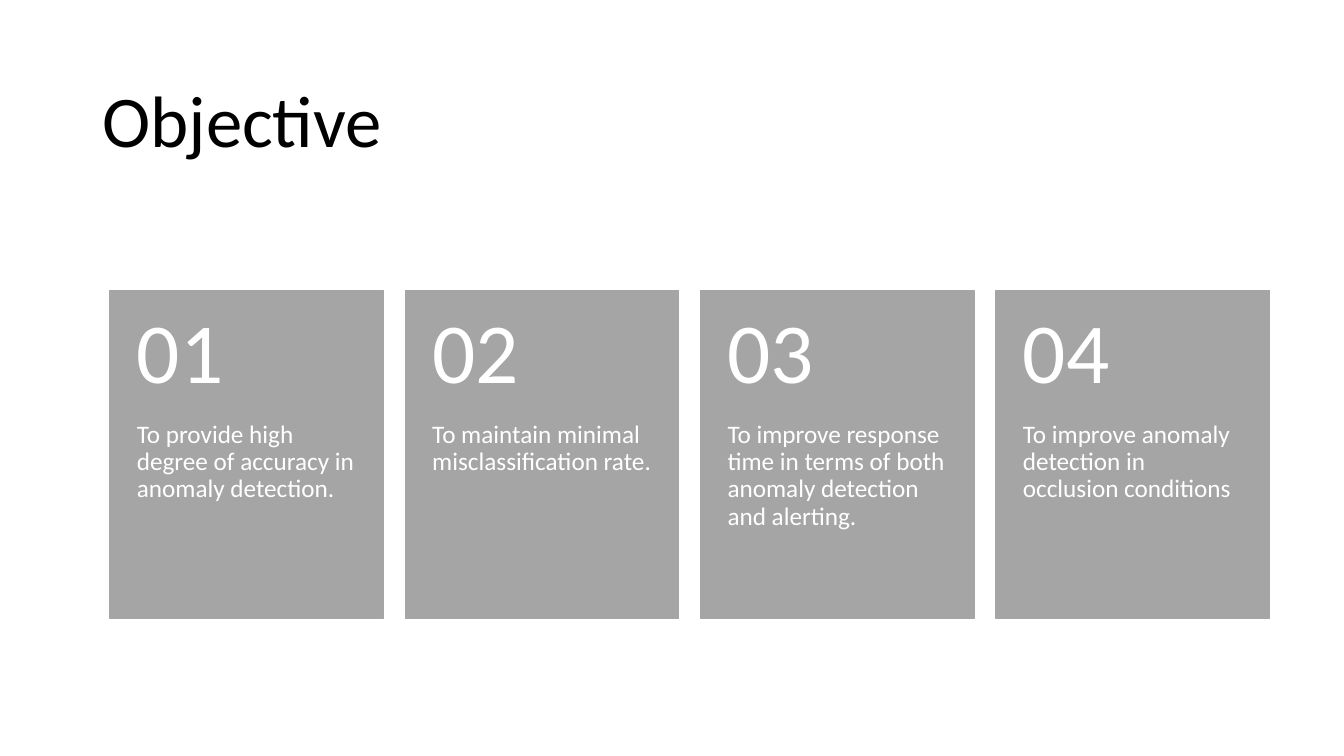
"""Builds the Objective slide with four numbered cards."""
from pptx import Presentation
from pptx import util as u
from pptx.dml import color
from pptx.enum import shapes, text

OBJECTIVES = [
    "To provide high degree of accuracy in anomaly detection.",
    "To maintain minimal misclassification rate.",
    "To improve response time in terms of both anomaly detection and alerting.",
    "To improve anomaly detection in occlusion conditions",
]
WHITE, GRAY, BLACK = "FFFFFF", "A5A5A5", "000000"
TOP, MIDDLE = text.MSO_ANCHOR.TOP, text.MSO_ANCHOR.MIDDLE


def rgb(value):
    """Turn a hex string into a colour."""
    return color.RGBColor.from_string(value)


def place(part, box):
    """Move a shape to a box given in centimetres."""
    for name, length in zip(("left", "top", "width", "height"), box):
        setattr(part, name, u.Cm(length))


def write(part, words, size, ink, anchor, insets):
    """Fill a shape with one formatted, left-aligned paragraph."""
    frame = part.text_frame
    frame.text = words
    sides = ("margin_left", "margin_top", "margin_right", "margin_bottom")
    layout = dict(zip(sides, map(u.Cm, insets)))
    layout.update(word_wrap=True, auto_size=text.MSO_AUTO_SIZE.NONE,
                  vertical_anchor=anchor)
    for name, value in layout.items():
        setattr(frame, name, value)
    line = frame.paragraphs[0]
    spacing = {"alignment": text.PP_ALIGN.LEFT, "line_spacing": 0.9,
               "space_before": u.Pt(0), "space_after": u.Pt(0)}
    for name, value in spacing.items():
        setattr(line, name, value)
    font = line.runs[0].font
    for name, value in {"name": "Calibri", "size": u.Pt(size)}.items():
        setattr(font, name, value)
    font.color.rgb = rgb(ink)


def panel(parent, box, fill, border=None):
    """Add a flat rectangle, outlined when a border colour is given."""
    sheet = parent.add_shape(shapes.MSO_SHAPE.RECTANGLE, *map(u.Cm, box))
    sheet.shadow.inherit = False
    sheet.fill.solid()
    sheet.fill.fore_color.rgb = rgb(fill)
    if border:
        sheet.line.color.rgb = rgb(border)
        sheet.line.width = u.Pt(1)
    else:
        sheet.line.fill.background()
    return sheet


def heading(slide, box):
    """Place the slide title in front of a white backdrop."""
    title = slide.shapes.title
    place(title, box)
    write(title, "Objective", 52, BLACK, MIDDLE, (0.25, 0.13, 0.25, 0.13))
    backdrop = panel(slide.shapes, (0, 0, 33.87, 19.05), WHITE)
    title.element.addprevious(backdrop.element)


def card(slide, box, number, objective):
    """Draw one grouped card with its number above its objective."""
    left, top, width, height = box
    number_height = 0.4 * height
    parts = slide.shapes.add_group_shape().shapes
    panel(parts, box, GRAY, GRAY)
    bands = [
        (top + number_height, height - number_height, objective, 18, TOP,
         (0.68, 0, 0.68, 0.91)),
        (top, number_height, f"{number:02}", 61, MIDDLE,
         (0.68, 0.46, 0.68, 0.46)),
    ]
    for band_top, band_height, words, size, anchor, insets in bands:
        area = map(u.Cm, (left, band_top, width, band_height))
        write(parts.add_textbox(*area), words, size, WHITE, anchor, insets)


def card_row(slide, box):
    """Spread the objective cards evenly over a box."""
    left, top, width, height = box
    gap = 0.55
    count = len(OBJECTIVES)
    card_width = (width - gap * (count - 1)) / count
    for index, objective in enumerate(OBJECTIVES):
        card_left = left + index * (card_width + gap)
        card(slide, (card_left, top, card_width, height), index + 1, objective)


def main():
    """Build and save the presentation."""
    deck = Presentation()
    deck.slide_width, deck.slide_height = u.Cm(33.87), u.Cm(19.05)
    slide = deck.slides.add_slide(deck.slide_layouts[5])
    heading(slide, (2.33, 1.55, 29.21, 3.15))
    card_row(slide, (2.77, 7.32, 29.22, 8.26))
    deck.save("out.pptx")


if __name__ == "__main__":
    main()
